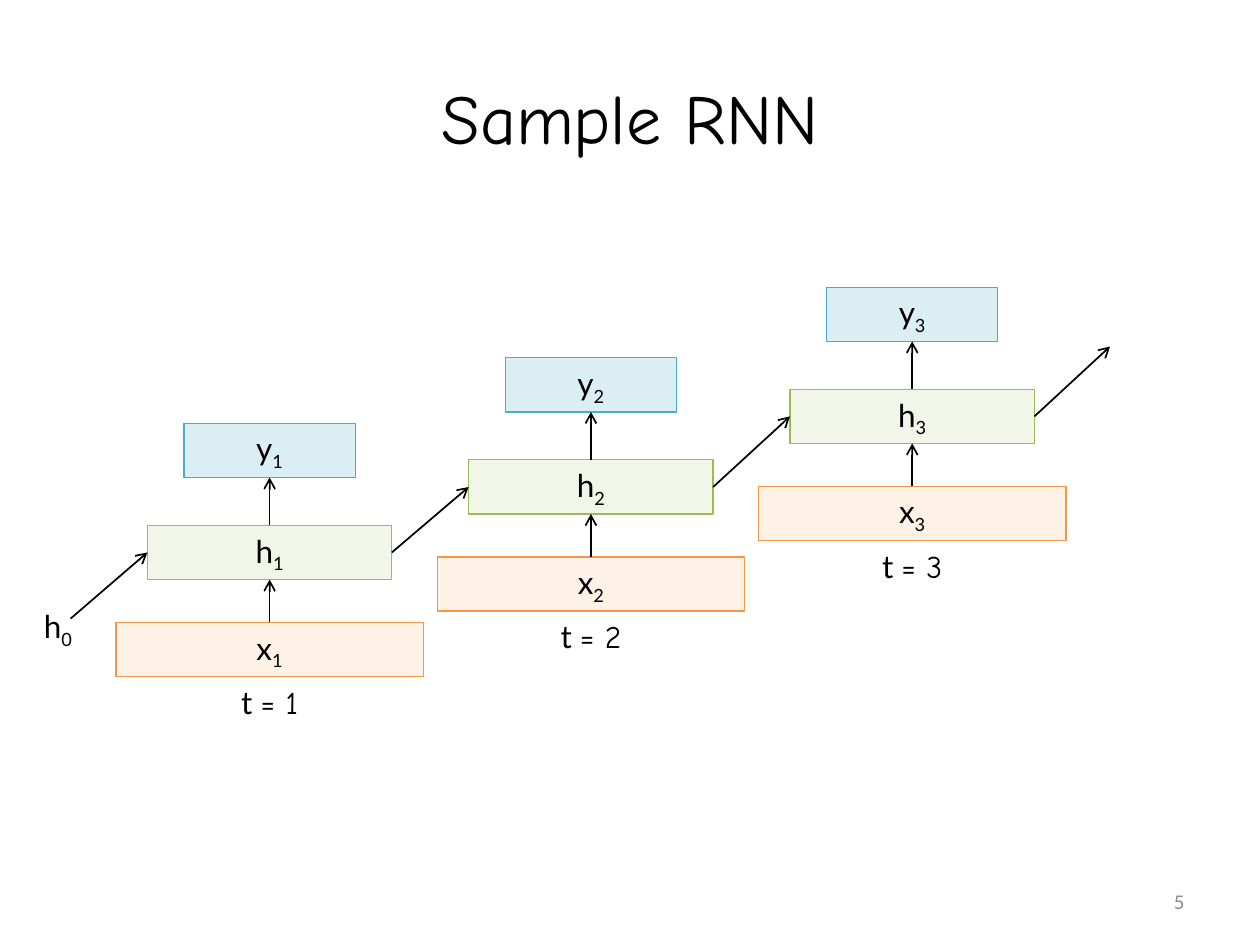
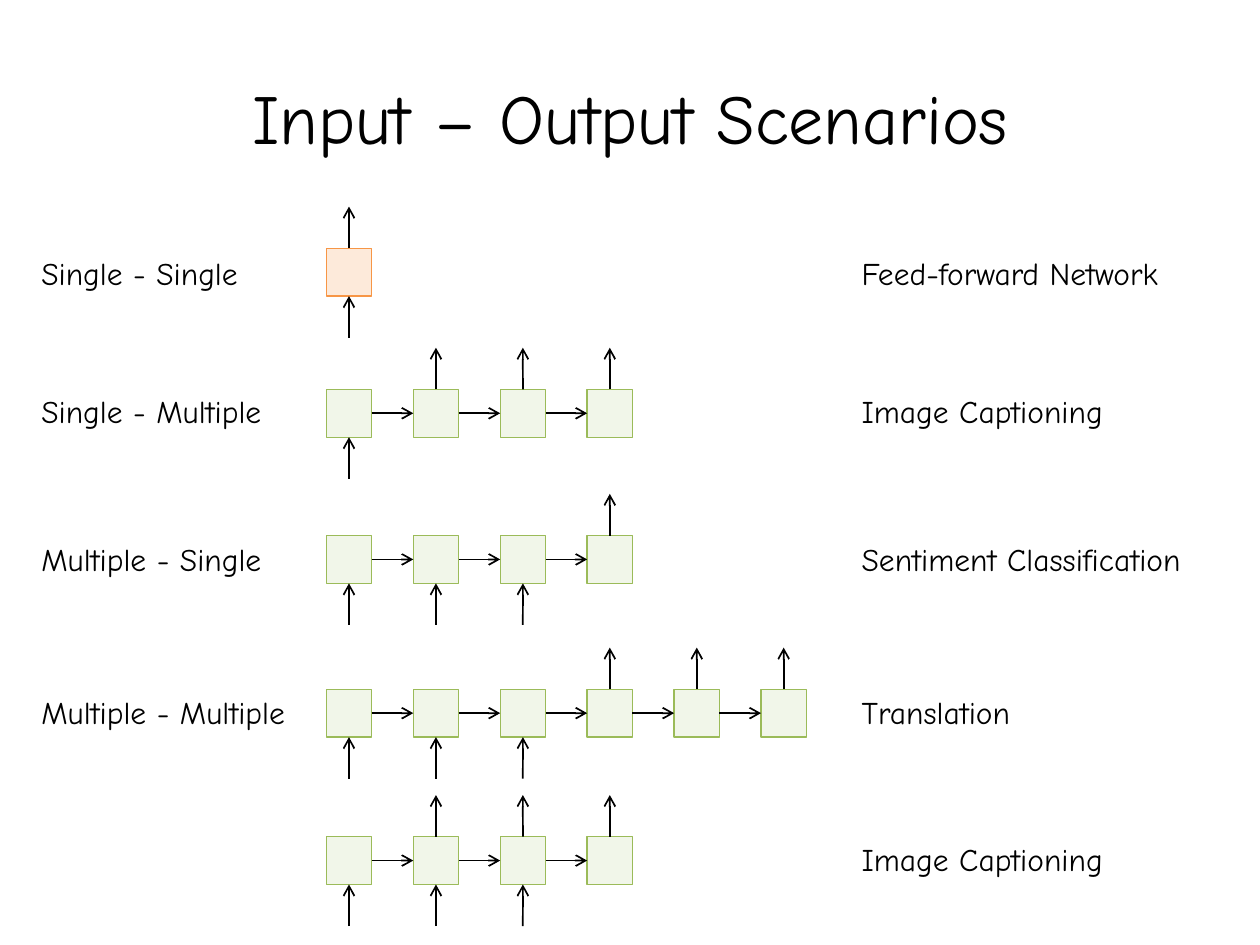
from pptx import Presentation
from pptx.dml.color import RGBColor
from pptx.enum.shapes import MSO_CONNECTOR as Connector, MSO_SHAPE as Preset
from pptx.enum.text import MSO_ANCHOR as Anchor, MSO_AUTO_SIZE as AutoSize, PP_ALIGN as Align
from pptx.oxml.ns import qn
from pptx.util import Inches, Pt
from lxml.etree import SubElement

BLACK, GREY = "000000", "8C8C8C"
HIDDEN = ("D7E4BD", "9BBB59")
OUTPUT = ("93CDDD", "4BACC6")
INPUT = ("FCD5B5", "F79646")
FEED_FORWARD = ("FAC090", "F79646")
OPACITY = 33000
HEADING_FONT, BODY_FONT, NUMBER_FONT = "Comic Neue", "Lato", "Calibri"
TOP, LEFT, BOTTOM, RIGHT = range(4)


def color(value):
    """Turn a hex string into a colour."""
    return RGBColor.from_string(value)


def write(shape, runs, size=18, font=HEADING_FONT, fill=BLACK, align=Align.LEFT,
          anchor=Anchor.TOP, wrap=True, grow=False):
    """Write a string, or (text, font, baseline) runs, into a shape."""
    frame = shape.text_frame
    frame.word_wrap = wrap
    frame.vertical_anchor = anchor
    if grow:
        frame.auto_size = AutoSize.SHAPE_TO_FIT_TEXT
    paragraph = frame.paragraphs[0]
    paragraph.alignment = align
    for text, run_font, baseline in [(runs, font, 0)] if isinstance(runs, str) else runs:
        run = paragraph.add_run()
        run.text = text
        run.font.size = Pt(size)
        run.font.name = run_font
        run.font.color.rgb = color(fill)
        if baseline:
            run.font._element.set("baseline", str(baseline))


def add_text(slide, box, runs, **text_format):
    """Add a text box at (left, top, width, height) in inches."""
    write(slide.shapes.add_textbox(*map(Inches, box)), runs, **text_format)


def add_cell(slide, box, colors):
    """Add a translucent outlined rectangle."""
    shape = slide.shapes.add_shape(Preset.RECTANGLE, *map(Inches, box))
    shape.shadow.inherit = False
    fill, line = colors
    shape.fill.solid()
    shape.fill.fore_color.rgb = color(fill)
    fill_color = shape.element.spPr.find(qn("a:solidFill")).find(qn("a:srgbClr"))
    SubElement(fill_color, qn("a:alpha")).set("val", str(OPACITY))
    shape.line.color.rgb = color(line)
    shape.line.width = Pt(0.75)
    return shape


def side_point(shape, side):
    """Find the middle of a side of a shape."""
    across = {LEFT: 0, RIGHT: shape.width}.get(side, shape.width // 2)
    down = {TOP: 0, BOTTOM: shape.height}.get(side, shape.height // 2)
    return shape.left + across, shape.top + down


def add_arrow(slide, start, end):
    """Draw an arrow between ends, each an (x, y) in inches or a (shape, side)."""
    ends = [side_point(*place) if hasattr(place[0], "width") else tuple(map(Inches, place))
            for place in (start, end)]
    arrow = slide.shapes.add_connector(Connector.STRAIGHT, *ends[0], *ends[1])
    for place, connect in ((start, arrow.begin_connect), (end, arrow.end_connect)):
        if hasattr(place[0], "width"):
            connect(*place)
    arrow.line.color.rgb = color(BLACK)
    arrow.line.width = Pt(1)
    properties = arrow._element.spPr
    SubElement(properties.find(qn("a:ln")), qn("a:tailEnd")).set("type", "arrow")
    SubElement(properties, qn("a:effectLst"))


def add_slide(presentation, title):
    """Add a blank slide with the shared title."""
    slide = presentation.slides.add_slide(presentation.slide_layouts[6])
    add_text(slide, (0.5, 0.3, 9, 1.25), title, size=40, align=Align.CENTER,
             anchor=Anchor.MIDDLE)
    return slide


def subscripted(letter, index):
    """Make the runs of a letter with a subscript."""
    return [(letter, BODY_FONT, 0), (str(index), BODY_FONT, -25000)]


def add_time_step(slide, left, top, step):
    """Stack output, hidden state and input of one step; return the hidden state."""
    width, height = 2.44, 0.43
    layers = (("y", 0, 1.36, OUTPUT), ("h", 0.81, 1.94, HIDDEN), ("x", 1.58, width, INPUT))
    cells = []
    for letter, offset, cell_width, colors in layers:
        box = (left + (width - cell_width) / 2, top + offset, cell_width, height)
        cell = add_cell(slide, box, colors)
        write(cell, subscripted(letter, step), align=Align.CENTER)
        cells.append(cell)
    for upper, lower in zip(cells, cells[1:]):
        add_arrow(slide, (lower, TOP), (upper, BOTTOM))
    label_width = 0.72
    add_text(slide, (left + (width - label_width) / 2, top + 2.01, label_width, 0.4),
             [("t ", BODY_FONT, 0), (f"= {step}", HEADING_FONT, 0)],
             align=Align.CENTER, wrap=False, grow=True)
    return cells[1]


def build_sample_slide(presentation):
    """Show a recurrent network unrolled over three steps."""
    slide = add_slide(presentation, "Sample RNN")
    add_text(slide, (7.17, 6.95, 2.33, 0.4), "5", size=12, font=NUMBER_FONT, fill=GREY,
             align=Align.RIGHT, anchor=Anchor.MIDDLE)
    states = [add_time_step(slide, 0.92 + 2.55 * index, top, index + 1)
              for index, top in enumerate((3.36, 2.84, 2.28))]
    starts = [(0.56, 4.91)] + [(state, RIGHT) for state in states]
    ends = [(state, LEFT) for state in states] + [(8.81, 2.75)]
    for start, end in zip(starts, ends):
        add_arrow(slide, start, end)
    add_text(slide, (0.22, 4.77, 0.48, 0.4), subscripted("h", 0),
             align=Align.CENTER, wrap=False, grow=True)


def add_chain(slide, left, top, count, inputs, outputs, colors):
    """Draw a row of linked cells with input arrows below and output arrows above."""
    width, height, pitch, reach = 0.36, 0.38, 0.69, 0.33
    cells = [add_cell(slide, (left + pitch * index, top, width, height), colors)
             for index in range(count)]
    for before, after in zip(cells, cells[1:]):
        add_arrow(slide, (before, RIGHT), (after, LEFT))
    for index, cell in enumerate(cells):
        middle = left + pitch * index + width / 2
        if index in inputs:
            add_arrow(slide, (middle, top + height + reach), (cell, BOTTOM))
        if index in outputs:
            add_arrow(slide, (cell, TOP), (middle, top - reach))


def build_scenarios_slide(presentation):
    """Compare input and output shapes with their uses."""
    slide = add_slide(presentation, "Input – Output Scenarios")
    first, first_three = range(1), range(3)
    scenarios = (
        ("Single - Single", "Feed-forward Network", 1.97, 1.97, 1, first, first, FEED_FORWARD),
        ("Single - Multiple", "Image Captioning", 3.06, 3.09, 4, first, range(1, 4), HIDDEN),
        ("Multiple - Single", "Sentiment Classification", 4.24, 4.25, 4, first_three,
         range(3, 4), HIDDEN),
        ("Multiple - Multiple", "Translation", 5.45, 5.47, 6, first_three, range(3, 6), HIDDEN),
        ("", "Image Captioning", 6.62, 6.64, 4, first_three, range(1, 4), HIDDEN),
    )
    for kind, use, text_top, chain_top, *chain in scenarios:
        add_chain(slide, 2.59, chain_top, *chain)
        if kind:
            add_text(slide, (0.23, text_top, 2.36, 0.4), kind, grow=True)
        add_text(slide, (6.74, text_top, 3.26, 0.4), use, grow=True)


def main():
    """Build and save the presentation."""
    presentation = Presentation()
    presentation.slide_width = Inches(10)
    presentation.slide_height = Inches(7.5)
    build_sample_slide(presentation)
    build_scenarios_slide(presentation)
    presentation.save("out.pptx")


if __name__ == "__main__":
    main()
